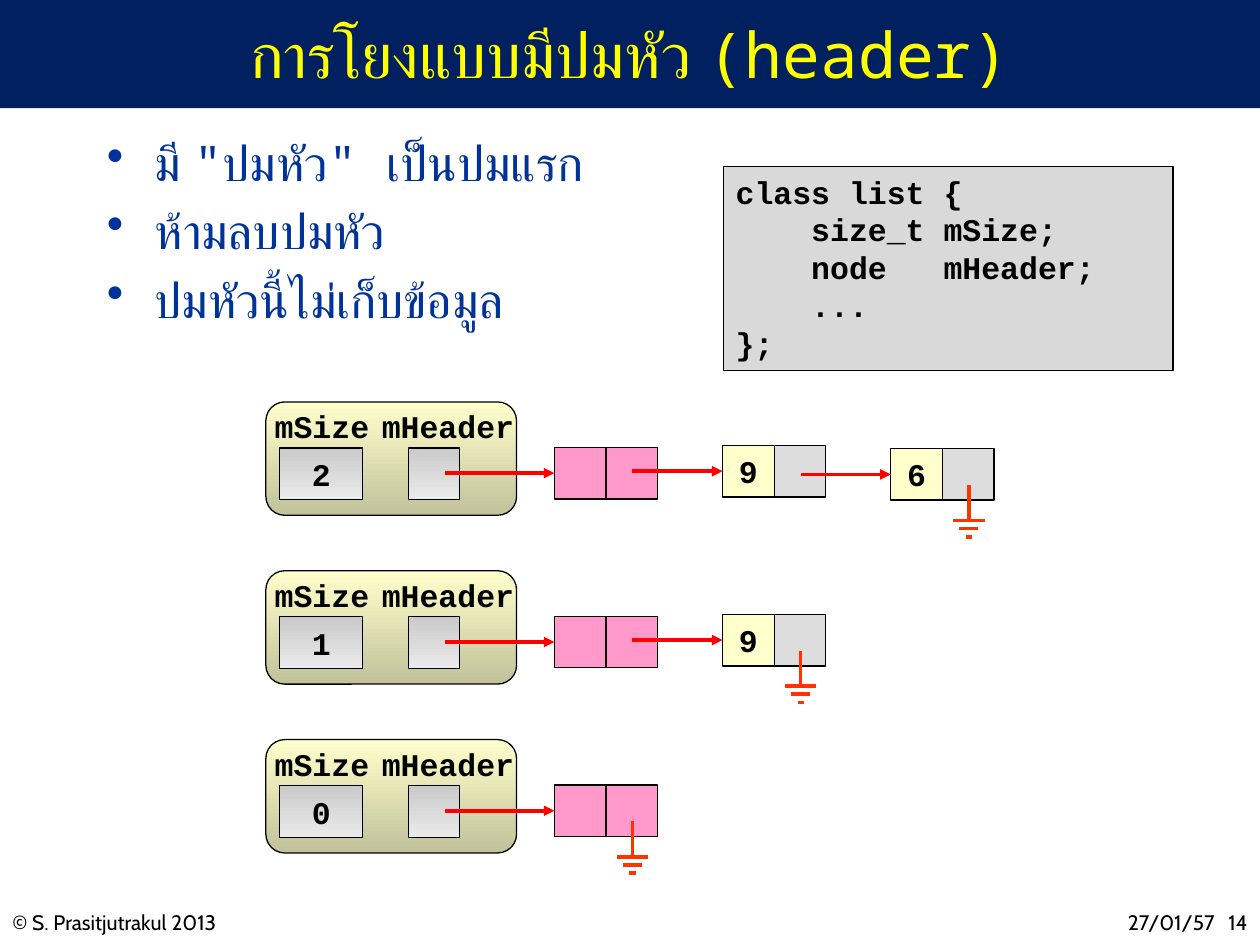
from dataclasses import dataclass
from lxml.etree import SubElement
from pptx import Presentation
from pptx.dml.color import RGBColor
from pptx.enum.shapes import MSO_CONNECTOR, MSO_SHAPE
from pptx.enum.text import MSO_ANCHOR, PP_ALIGN
from pptx.oxml.ns import qn
from pptx.util import Emu, Inches, Pt


@dataclass(frozen=True)
class Theme:
    navy: str = "002060"
    yellow: str = "FFFF00"
    blue: str = "003399"
    black: str = "000000"
    cream: str = "FFFFCC"
    olive: str = "C2C29B"
    dark: str = "CACACA"
    light: str = "EAEAEA"
    pink: str = "FF99CC"
    grey: str = "DDDDDD"
    panel: str = "D9D9D9"
    red: str = "FF0000"
    ground: str = "FF3300"
    sans: str = "Cabin"
    mono: str = "Noto Sans Mono"
    code: str = "Courier New"
    title: int = 36
    body: int = 28
    label: int = 18
    small: int = 12


@dataclass(frozen=True)
class Box:
    """Place on a square grid of 100 columns by 75 rows."""
    x: float
    y: float
    w: float
    h: float


@dataclass(frozen=True)
class Style:
    font: str
    size: int
    color: str
    bold: bool = False
    align: PP_ALIGN = PP_ALIGN.LEFT
    anchor: MSO_ANCHOR = MSO_ANCHOR.TOP


@dataclass(frozen=True)
class Chain:
    row: float
    items: tuple[str, ...]


T = Theme()
LEFT, MID, RIGHT = PP_ALIGN.LEFT, PP_ALIGN.CENTER, PP_ALIGN.RIGHT
CODE = Style(T.code, T.label, T.black, True)
LABEL = Style(T.code, T.label, T.black, True, MID, MSO_ANCHOR.MIDDLE)
SIDE = 4.1                      # side of a square cell
STEP = 13.35                    # from one node to the next
DROPS = (3.6, 3.45, 3.7)        # top of each node below its row

deck = Presentation()
deck.slide_width, deck.slide_height = Inches(10), Inches(7.5)
slide = deck.slides.add_slide(deck.slide_layouts[6])
UNIT = deck.slide_width / 100


def grid(*spans: float) -> list[Emu]:
    return [Emu(round(span * UNIT)) for span in spans]


def rgb(code: str) -> RGBColor:
    return RGBColor.from_string(code)


def write(shape, lines: list[str], style: Style, wrap: bool = True) -> None:
    frame = shape.text_frame
    frame.word_wrap = wrap
    frame.vertical_anchor = style.anchor
    frame.text = "\n".join(lines)
    for para in frame.paragraphs:
        para.alignment = style.align
        font = para.font
        font.name, font.size, font.bold = style.font, Pt(style.size), style.bold
        font.color.rgb = rgb(style.color)


def text(box: Box, lines: list[str], style: Style, wrap: bool = True):
    shape = slide.shapes.add_textbox(*grid(box.x, box.y, box.w, box.h))
    write(shape, lines, style, wrap)
    return shape


def block(box: Box, *fills: str, kind=MSO_SHAPE.RECTANGLE, edge: bool = True):
    """One colour fills flat; two run from top to bottom."""
    shape = slide.shapes.add_shape(kind, *grid(box.x, box.y, box.w, box.h))
    shape.shadow.inherit = False
    if len(fills) == 1:
        shape.fill.solid()
        shape.fill.fore_color.rgb = rgb(fills[0])
    else:
        shape.fill.gradient()
        shape.fill.gradient_angle = 270
        for stop, color in zip(shape.fill.gradient_stops, fills):
            stop.color.rgb = rgb(color)
    if edge:
        shape.line.color.rgb = rgb(T.black)
        shape.line.width = Pt(0.75)
    else:
        shape.line.fill.background()
    return shape


def line(x: float, y: float, to_x: float, to_y: float, color: str):
    link = slide.shapes.add_connector(MSO_CONNECTOR.STRAIGHT, *grid(x, y, to_x, to_y))
    link.line.color.rgb = rgb(color)
    link.line.width = Pt(2)
    SubElement(link._element.spPr, qn("a:effectLst"))
    return link


def arrow(x: float, box: Box, goal) -> None:
    y = box.y + box.h / 2
    link = line(x, y, box.x, y, T.red)
    link.end_connect(goal, 1)
    SubElement(link.line._get_or_add_ln(), qn("a:tailEnd"), type="triangle")


def ground(x: float, y: float) -> None:
    foot = y + 2.8
    line(x, y, x, foot, T.ground)
    for i, half in enumerate((1.25, 0.75, 0.25)):
        line(x - half, foot + i * 0.65, x + half, foot + i * 0.65, T.ground)


def draw(chain: Chain) -> None:
    # List object with its two fields
    y, top = chain.row, chain.row + 3.65
    block(Box(21.1, y, 19.9, 9), T.cream, T.olive, kind=MSO_SHAPE.ROUNDED_RECTANGLE)
    block(Box(32.4, top, SIDE, SIDE), T.dark, T.light)
    count = block(Box(22.2, top, 6.6, SIDE), T.dark, T.light)
    write(count, [str(len(chain.items))], LABEL)
    text(Box(20.5, y - 0.1, 10.1, 4), ["mSize"], LABEL, False)
    text(Box(29.3, y - 0.1, 12.5, 4), ["mHeader"], LABEL, False)

    # Header node, then one node for each item
    start = 35.3
    for i, item in enumerate(("", *chain.items)):
        box = Box(44 + i * STEP, y + DROPS[i], SIDE, SIDE)
        cell = block(box, T.cream if i else T.pink)
        if item:
            write(cell, [item], LABEL)
        block(Box(box.x + SIDE, box.y, SIDE, SIDE), T.grey if i else T.pink)
        arrow(start, box, cell)
        start = box.x + 6.2
    ground(start, box.y + 2.9)


# Title band
block(Box(0, 0, 100, 8.6), T.navy, edge=False)
text(Box(7.5, 0.1, 85, 8.3), ["การโยงแบบมีปมหัว (header)"],
     Style(T.mono, T.title, T.yellow, align=MID, anchor=MSO_ANCHOR.MIDDLE))

# Footer
FOOT = Style(T.sans, T.small, T.black)
DATE = Style(T.sans, T.small, T.black, align=RIGHT)
text(Box(0, 71.7, 32.5, 3), ["© S. Prasitjutrakul 2013"], FOOT)
text(Box(78.3, 71.7, 19.1, 3), ["27/01/57"], DATE)
text(Box(96.3, 71.7, 3.7, 3), ["14"], DATE, False)

# Bullets
notes = text(Box(7.5, 10, 48, 18), ['มี "ปมหัว" เป็นปมแรก', "ห้ามลบปมหัว", "ปมหัวนี้ไม่เก็บข้อมูล"],
             Style(T.mono, T.body, T.blue))
for i, para in enumerate(notes.text_frame.paragraphs):
    if i:
        para.space_before = Pt(T.body * 0.2)
    props = para._p.get_or_add_pPr()
    hang = grid(3.8)[0]
    props.set("marL", str(hang))
    props.set("indent", str(-hang))
    mark = SubElement(props, qn("a:buChar"), char="•")
    props.remove(mark)
    props.insert_element_before(mark, "a:tabLst", "a:defRPr", "a:extLst")

# Linked lists, shortest at the back
for chain in (Chain(58.7, ()), Chain(45.3, ("9",)), Chain(31.9, ("9", "6"))):
    draw(chain)

# Class code
write(block(Box(57.4, 13.2, 35.7, 16.2), T.panel),
      ["class list {", "    size_t mSize;", "    node   mHeader;", "    ...", "};"], CODE)

deck.save("out.pptx")
